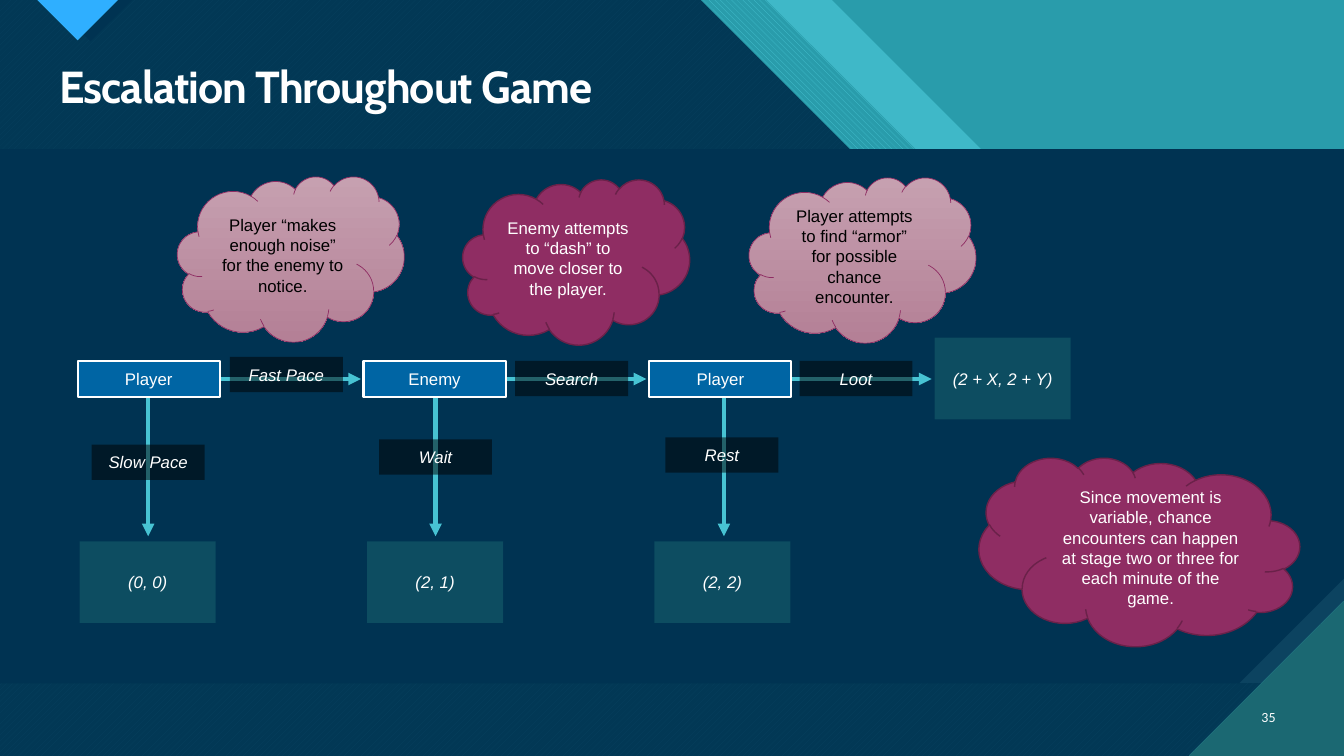
from dataclasses import dataclass
from typing import NamedTuple, Optional

from lxml import etree
from pptx import Presentation
from pptx.dml.color import RGBColor
from pptx.dml.fill import FillFormat
from pptx.enum.dml import MSO_PATTERN as Pattern
from pptx.enum.shapes import MSO_CONNECTOR as Connector, MSO_SHAPE as Shape
from pptx.enum.text import MSO_ANCHOR as Anchor, PP_ALIGN as Align
from pptx.oxml.ns import qn
from pptx.util import Inches, Pt


@dataclass(frozen=True)
class Theme:
    navy: str = "003352"
    slate: str = "0C4360"
    teal: str = "299CAB"
    aqua: str = "47C3D3"
    deep_teal: str = "1B6872"
    outcome: str = "1A6871"
    sky: str = "2FAFFF"
    blue: str = "0065A4"
    plum: str = "8F2D63"
    dark_plum: str = "6A2149"
    rose_top: str = "C6A0B0"
    rose_bottom: str = "B48096"
    white: str = "FFFFFF"
    black: str = "000000"
    title_font: str = "Cabin"
    body_font: str = "Arial"
    number_font: str = "Calibri"
    title_size: float = 32
    body_size: float = 12
    number_size: float = 10


THEME = Theme()
WIDTH, HEIGHT = 13.33, 7.5


class Paint(NamedTuple):
    """Solid colour by default; a second colour makes a gradient, or a pattern if one is named."""
    color: str
    second: Optional[str] = None
    pattern: Optional[Pattern] = None
    alpha: int = 100


class Outline(NamedTuple):
    color: str
    width: float


class Panel(NamedTuple):
    points: list[tuple[float, float]]
    paint: Paint


class BoxStyle(NamedTuple):
    width: float
    height: float
    paint: Paint
    outline: Optional[Outline] = None
    geometry: Shape = Shape.RECTANGLE
    text_color: str = THEME.white
    italic: bool = False
    mirrored: bool = False


class Box(NamedTuple):
    text: str
    left: float
    top: float
    style: BoxStyle


class Arrow(NamedTuple):
    start: tuple[float, float]
    end: tuple[float, float]


TURN = BoxStyle(1.41, 0.36, Paint(THEME.blue), Outline(THEME.white, 1.5))
CHOICE = BoxStyle(1.12, 0.35, Paint(THEME.black, alpha=50), italic=True)
OUTCOME = BoxStyle(1.35, 0.81, Paint(THEME.outcome, alpha=50), italic=True)
ROSE_CLOUD = BoxStyle(2.25, 1.64, Paint(THEME.rose_top, THEME.rose_bottom),
                      Outline(THEME.plum, 0.5), Shape.CLOUD, THEME.black)
PLUM_CLOUD = BoxStyle(2.25, 1.64, Paint(THEME.plum), Outline(THEME.dark_plum, 1), Shape.CLOUD)
WIDE_CLOUD = PLUM_CLOUD._replace(width=3.18, height=1.87, mirrored=True)


def slanted(top_right: float) -> list[tuple[float, float]]:
    """Area left of a 45 degree edge that starts at top_right on the upper border."""
    return [(0, 0), (top_right, 0), (WIDTH, WIDTH - top_right), (WIDTH, HEIGHT), (0, HEIGHT)]


BODY_TOP, BODY_BOTTOM, SNIP = 1.48, 6.78, 1.04
PANELS = [
    Panel(slanted(8.25), Paint(THEME.aqua, alpha=74)),
    Panel(slanted(7.6), Paint(THEME.aqua, THEME.teal, Pattern.WIDE_DOWNWARD_DIAGONAL)),
    Panel(slanted(6.95), Paint(THEME.aqua, THEME.deep_teal, Pattern.WIDE_UPWARD_DIAGONAL)),
    Panel(slanted(6.95), Paint(THEME.navy, alpha=90)),
    Panel([(0.48, 0), (1.31, 0), (0.9, 0.41)], Paint(THEME.navy)),
    Panel([(0.37, 0), (1.17, 0), (0.77, 0.4)],
          Paint(THEME.sky, THEME.deep_teal, Pattern.DARK_HORIZONTAL)),
    Panel([(0, BODY_TOP), (WIDTH, BODY_TOP), (WIDTH, BODY_BOTTOM), (0, BODY_BOTTOM)],
          Paint(THEME.slate, THEME.deep_teal, Pattern.DARK_VERTICAL)),
    Panel([(0, BODY_TOP), (WIDTH, BODY_TOP), (WIDTH, BODY_BOTTOM - SNIP),
           (WIDTH - SNIP, BODY_BOTTOM), (0, BODY_BOTTOM)], Paint(THEME.navy)),
    Panel([(11.79, HEIGHT), (WIDTH, HEIGHT), (WIDTH, 5.96)],
          Paint(THEME.deep_teal, THEME.aqua, Pattern.DARK_HORIZONTAL)),
]

ARROWS = [Arrow((x, 3.94), (x, 5.32)) for x in (1.47, 4.32, 7.18)]
ARROWS += [Arrow((x, 3.76), (x + 1.39, 3.76)) for x in (2.19, 5.02, 7.85)]

BOXES = [Box(name, 0.77 + 2.835 * column, 3.58, TURN)
         for column, name in enumerate(("Player", "Enemy", "Player"))]
BOXES += [Box(score, 0.79 + 2.85 * column, 5.37, OUTCOME)
          for column, score in enumerate(("(0, 0)", "(2, 1)", "(2, 2)"))]
BOXES += [
    Box("(2 + X, 2 + Y)", 9.27, 3.35, OUTCOME),
    Box("Slow Pace", 0.91, 4.41, CHOICE),
    Box("Wait", 3.76, 4.36, CHOICE),
    Box("Rest", 6.6, 4.34, CHOICE),
    Box("Fast Pace", 2.28, 3.54, CHOICE),
    Box("Search", 5.11, 3.58, CHOICE),
    Box("Loot", 7.93, 3.58, CHOICE),
    Box("Player “makes enough noise” for the enemy to notice.", 1.76, 1.75, ROSE_CLOUD),
    Box("Enemy attempts to “dash” to move closer to the player.", 4.59, 1.78, PLUM_CLOUD),
    Box("Player attempts to find “armor” for possible chance encounter.", 7.43, 1.76, ROSE_CLOUD),
    Box("Since movement is variable, chance encounters can happen at stage two or three "
        "for each minute of the game.", 9.71, 4.54, WIDE_CLOUD),
]


def apply_paint(fill: FillFormat, paint: Paint) -> None:
    color = RGBColor.from_string(paint.color)
    if paint.pattern is not None:
        fill.patterned()
        fill.pattern = paint.pattern
        fill.fore_color.rgb = color
        fill.back_color.rgb = RGBColor.from_string(paint.second)
    elif paint.second:
        fill.gradient()
        fill.gradient_angle = 270
        for stop, stop_color in zip(fill.gradient_stops, (paint.color, paint.second)):
            stop.color.rgb = RGBColor.from_string(stop_color)
    else:
        fill.solid()
        fill.fore_color.rgb = color


def style_shape(shape, paint: Paint, outline: Optional[Outline] = None) -> None:
    shape.shadow.inherit = False
    apply_paint(shape.fill, paint)
    if paint.alpha < 100:
        color = shape._element.spPr.find(qn("a:solidFill")).find(qn("a:srgbClr"))
        etree.SubElement(color, qn("a:alpha"), val=str(paint.alpha * 1000))
    if outline:
        shape.line.color.rgb = RGBColor.from_string(outline.color)
        shape.line.width = Pt(outline.width)
    else:
        shape.line.fill.background()


def write_text(shape, text: str, font_name: str, size: float, color: str,
               alignment: Align = Align.CENTER, anchor: Anchor = Anchor.MIDDLE):
    frame = shape.text_frame
    frame.word_wrap = True
    frame.vertical_anchor = anchor
    paragraph = frame.paragraphs[0]
    paragraph.text = text
    paragraph.alignment = alignment
    paragraph.font.name = font_name
    paragraph.font.size = Pt(size)
    paragraph.font.color.rgb = RGBColor.from_string(color)
    return paragraph


def draw_panel(slide, panel: Panel) -> None:
    points = [(Inches(x), Inches(y)) for x, y in panel.points]
    builder = slide.shapes.build_freeform(*points[0])
    builder.add_line_segments(points[1:], close=True)
    style_shape(builder.convert_to_shape(), panel.paint)


def draw_arrow(slide, arrow: Arrow) -> None:
    ends = [Inches(value) for value in (*arrow.start, *arrow.end)]
    connector = slide.shapes.add_connector(Connector.STRAIGHT, *ends)
    connector.line.color.rgb = RGBColor.from_string(THEME.aqua)
    connector.line.width = Pt(3)
    properties = connector._element.spPr
    etree.SubElement(properties.find(qn("a:ln")), qn("a:tailEnd"), type="triangle")
    etree.SubElement(properties, qn("a:effectLst"))


def draw_box(slide, box: Box) -> None:
    style = box.style
    shape = slide.shapes.add_shape(style.geometry, Inches(box.left), Inches(box.top),
                                   Inches(style.width), Inches(style.height))
    style_shape(shape, style.paint, style.outline)
    if style.mirrored:
        shape._element.spPr.find(qn("a:xfrm")).set("flipH", "1")
    paragraph = write_text(shape, box.text, THEME.body_font, THEME.body_size, style.text_color)
    paragraph.font.italic = style.italic


def draw_title(slide) -> None:
    title = slide.shapes.add_textbox(Inches(0.49), Inches(0.59), Inches(12.26), Inches(0.59))
    paragraph = write_text(title, "Escalation Throughout Game", THEME.title_font,
                           THEME.title_size, THEME.white, Align.LEFT, Anchor.TOP)
    paragraph.font.bold = True
    paragraph.line_spacing = 0.9
    paragraph.runs[0]._r.get_or_add_rPr().set("spc", "-70")


def draw_slide_number(slide) -> None:
    number = slide.shapes.add_textbox(Inches(12.31), Inches(6.91), Inches(0.44), Inches(0.4))
    write_text(number, "35", THEME.number_font, THEME.number_size, THEME.white, Align.RIGHT)


def main() -> None:
    presentation = Presentation()
    presentation.slide_width, presentation.slide_height = Inches(WIDTH), Inches(HEIGHT)
    slide = presentation.slides.add_slide(presentation.slide_layouts[6])
    apply_paint(slide.background.fill, Paint(THEME.teal))
    for panel in PANELS:
        draw_panel(slide, panel)
    draw_title(slide)
    draw_slide_number(slide)
    for arrow in ARROWS:
        draw_arrow(slide, arrow)
    for box in BOXES:
        draw_box(slide, box)
    presentation.save("out.pptx")


if __name__ == "__main__":
    main()
